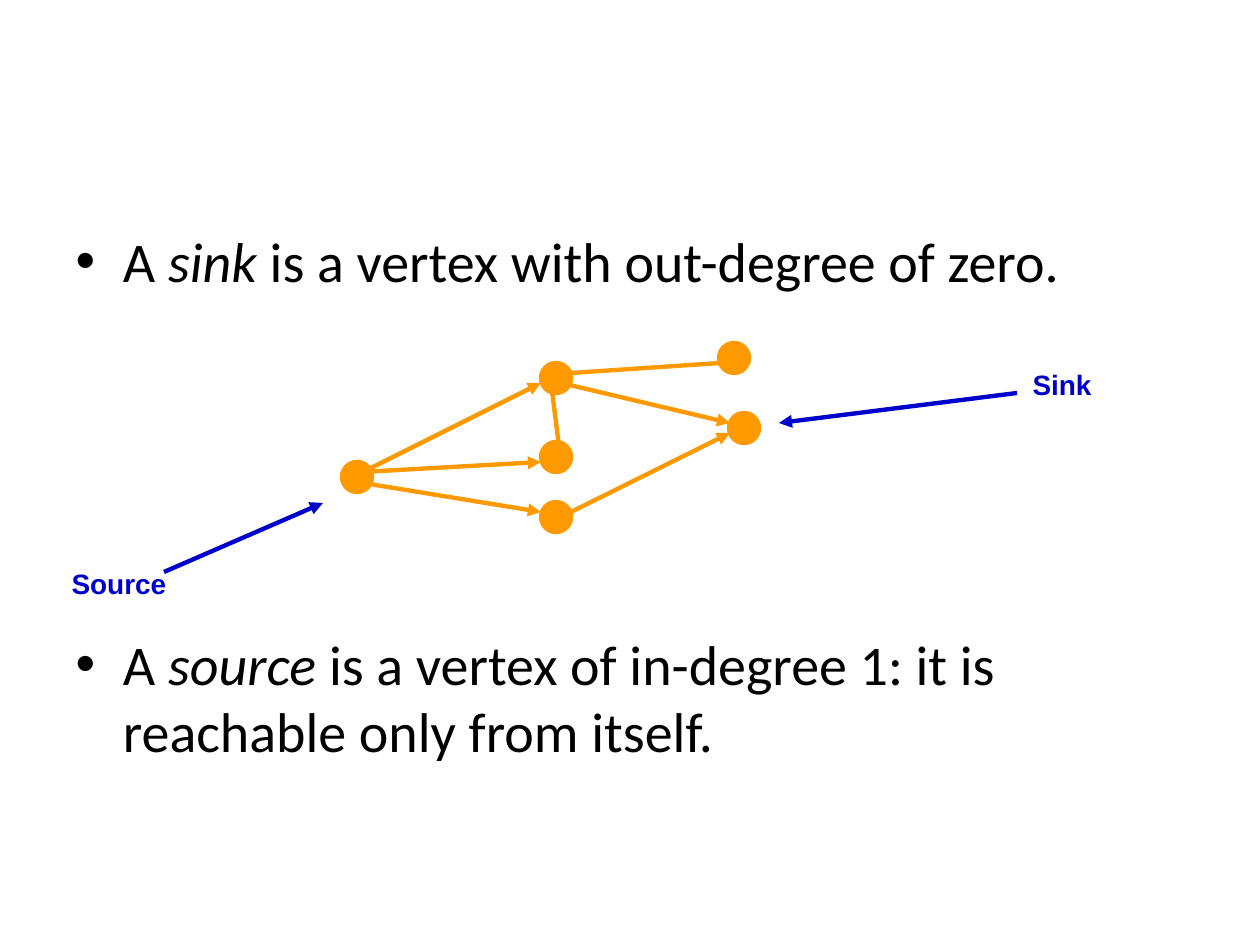
from dataclasses import dataclass

from lxml import etree
from pptx import Presentation
from pptx.dml.color import RGBColor
from pptx.enum.shapes import MSO_CONNECTOR, MSO_SHAPE
from pptx.enum.text import PP_ALIGN
from pptx.oxml.ns import qn
from pptx.util import Pt

LINE = MSO_CONNECTOR.STRAIGHT
OVAL = MSO_SHAPE.OVAL
CENTER = PP_ALIGN.CENTER
SCALE = 914400 / 126
ORANGE, BLUE, BLACK = "FF9900", "0000CC", "000000"
DOT = 30


@dataclass
class Edge:
    start: tuple[int, int]
    end: tuple[int, int]
    color: str = ORANGE
    arrow: bool = True


@dataclass
class Label:
    text: str
    left: int
    top: int


@dataclass
class Point:
    words: tuple[str, str, str]
    gap: int


NODES = [(357, 477), (556, 378), (556, 457), (556, 517), (734, 358), (744, 428)]
EDGES = [
    Edge((363, 472), (541, 383)),
    Edge((363, 472), (541, 462)),
    Edge((363, 483), (541, 512)),
    Edge((571, 373), (720, 363), arrow=False),
    Edge((561, 383), (730, 423)),
    Edge((551, 383), (561, 462), arrow=False),
    Edge((571, 512), (730, 433)),
    Edge((1017, 393), (779, 423), BLUE),
    Edge((164, 572), (323, 503), BLUE),
]
LABELS = [Label("Sink", 1007, 373), Label("Source", 64, 572)]
POINTS = [
    Point(("A ", "sink ", "is a vertex with out-degree of zero."), 8),
    Point(("A ", "source", " is a vertex of in-degree 1: "
           "it is reachable only from itself."), 192),
]


def px(n: int) -> int:
    return round(n * SCALE)


def rgb(code: str) -> RGBColor:
    return RGBColor.from_string(code)


def style(font, name: str, size: int, color: str) -> None:
    font.name, font.size = name, Pt(size)
    font.color.rgb = rgb(color)


def draw_body(body) -> None:
    body.left, body.top = px(63), px(220)
    body.width, body.height = px(1134), px(624)
    frame = body.text_frame
    for i, point in enumerate(POINTS):
        para = frame.add_paragraph() if i else frame.paragraphs[0]
        para.space_before = Pt(point.gap)
        for j, word in enumerate(point.words):
            run = para.add_run()
            run.text = word
            run.font.italic = j == 1
            style(run.font, "Calibri", 32, BLACK)


def draw_edge(slide, edge: Edge) -> None:
    ends = [px(n) for n in edge.start + edge.end]
    line = slide.shapes.add_connector(LINE, *ends)
    line.line.color.rgb = rgb(edge.color)
    line.line.width = Pt(2.5)
    props = line._element.spPr
    if edge.arrow:
        head = etree.SubElement(props.find(qn("a:ln")), qn("a:tailEnd"))
        head.set("type", "triangle")
    etree.SubElement(props, qn("a:effectLst"))


def draw_node(slide, x: int, y: int) -> None:
    half = DOT // 2
    dot = slide.shapes.add_shape(OVAL, px(x - half), px(y - half), px(DOT), px(DOT))
    dot.shadow.inherit = False
    dot.fill.solid()
    dot.fill.fore_color.rgb = rgb(ORANGE)
    dot.line.color.rgb = rgb(ORANGE)
    dot.line.width = Pt(2.5)


def draw_label(slide, label: Label) -> None:
    box = slide.shapes.add_textbox(px(label.left), px(label.top), px(110), px(29))
    frame = box.text_frame
    frame.word_wrap = True
    frame.margin_left = frame.margin_right = 0
    frame.margin_top = frame.margin_bottom = 0
    frame.text = label.text
    para = frame.paragraphs[0]
    para.alignment = CENTER
    para.line_spacing = 0.85
    para.space_before = Pt(10)
    font = para.runs[0].font
    style(font, "Arial", 16, BLUE)
    font.bold = True


def main() -> None:
    deck = Presentation()
    deck.slide_width, deck.slide_height = px(1260), px(945)
    slide = deck.slides.add_slide(deck.slide_layouts[1])

    # The slide has no title, only bulleted text
    title = slide.shapes.title._element
    title.getparent().remove(title)
    draw_body(slide.placeholders[1])

    # Graph with its source and sink marked
    for edge in EDGES:
        draw_edge(slide, edge)
    for x, y in NODES:
        draw_node(slide, x, y)
    for label in LABELS:
        draw_label(slide, label)

    deck.save("out.pptx")


if __name__ == "__main__":
    main()
